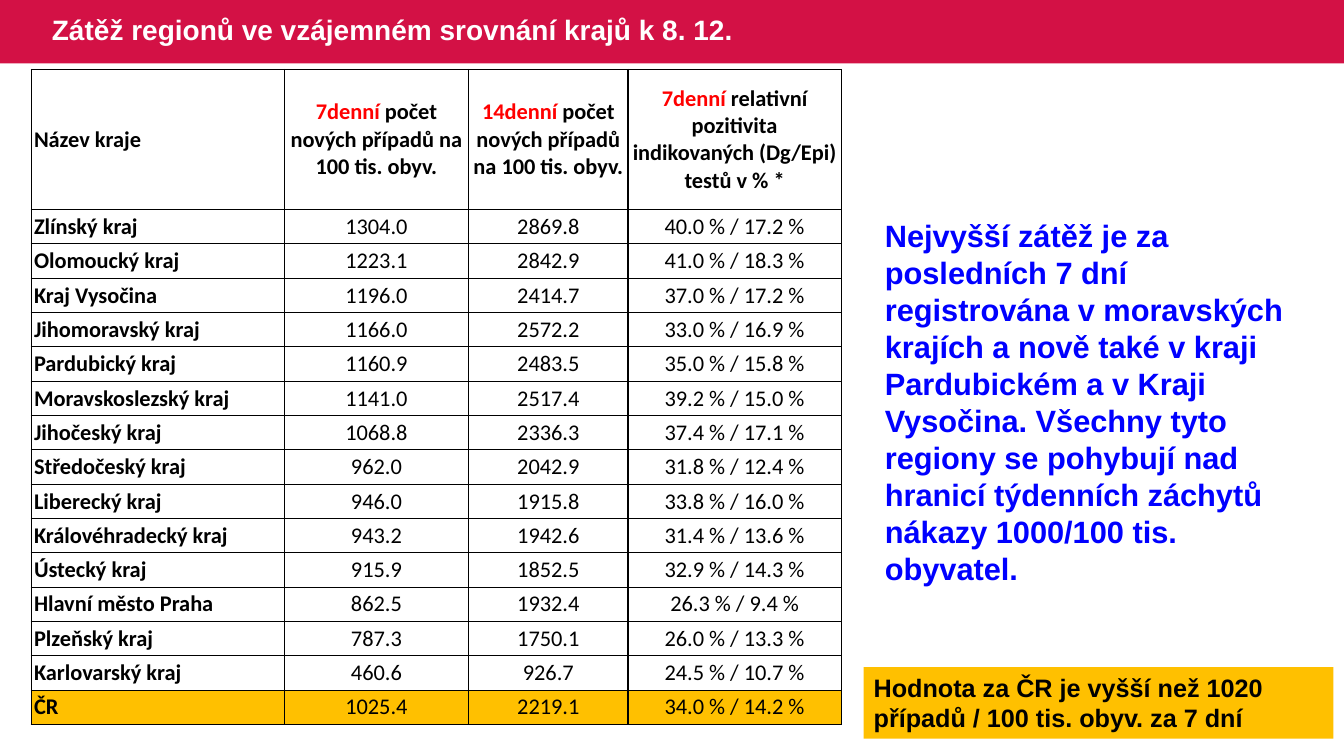
from dataclasses import dataclass

import lxml.etree
import pptx
import pptx.dml.color
import pptx.enum.shapes
import pptx.enum.text
import pptx.oxml.ns
import pptx.util

Pt = pptx.util.Pt
Anchor = pptx.enum.text.MSO_ANCHOR
Align = pptx.enum.text.PP_ALIGN

COLORS = {
    "crimson": "D31145",
    "white": "FFFFFF",
    "black": "000000",
    "red": "FF0000",
    "blue": "0000FF",
    "amber": "FFC000",
}


@dataclass(frozen=True)
class Run:
    text: str
    size: float
    color: str = "black"
    font: str = "Arial"
    bold: bool = True


@dataclass(frozen=True)
class Panel:
    left: float
    top: float
    width: float
    height: float
    run: Run | None = None
    fill: str | None = None
    anchor: Anchor = Anchor.TOP
    line_spacing: float = 1.0


@dataclass(frozen=True)
class Region:
    name: str
    week: str
    fortnight: str
    positivity: str
    fill: str = "white"


PANELS = [
    Panel(0, 0, 960, 45.4, fill="crimson"),
    Panel(30, 0, 585.5, 45.4,
          Run("Zátěž regionů ve vzájemném srovnání krajů k 8. 12.", 20, "white"),
          anchor=Anchor.MIDDLE, line_spacing=0.9),
    Panel(625, 122.4, 319.7, 300.2,
          Run("Nejvyšší zátěž je za posledních 7 dní registrována v moravských "
              "krajích a nově také v kraji Pardubickém a v Kraji Vysočina. "
              "Všechny tyto regiony se pohybují nad hranicí týdenních záchytů "
              "nákazy 1000/100 tis. obyvatel.", 22, "blue"),
          anchor=Anchor.BOTTOM),
    Panel(617, 476.6, 335.5, 51,
          Run("Hodnota za ČR je vyšší než 1020 případů / 100 tis. obyv. za 7 dní", 18),
          fill="amber"),
]

TABLE_LEFT, TABLE_TOP = 22.3, 49.7
COLUMN_WIDTHS = [180.7, 131.8, 113.8, 152.4]
HEADER_HEIGHT, ROW_HEIGHT = 100, 24.53
CELL_MARGIN = 2

# Each heading: red lead words, then the black rest
HEADINGS = [
    ("", "Název kraje"),
    ("7denní", " počet nových případů na 100 tis. obyv."),
    ("14denní", " počet nových případů na 100 tis. obyv."),
    ("7denní", " relativní pozitivita indikovaných (Dg/Epi) testů v % *"),
]

REGIONS = [
    Region("Zlínský kraj", "1304.0", "2869.8", "40.0 % / 17.2 %"),
    Region("Olomoucký kraj", "1223.1", "2842.9", "41.0 % / 18.3 %"),
    Region("Kraj Vysočina", "1196.0", "2414.7", "37.0 % / 17.2 %"),
    Region("Jihomoravský kraj", "1166.0", "2572.2", "33.0 % / 16.9 %"),
    Region("Pardubický kraj", "1160.9", "2483.5", "35.0 % / 15.8 %"),
    Region("Moravskoslezský kraj", "1141.0", "2517.4", "39.2 % / 15.0 %"),
    Region("Jihočeský kraj", "1068.8", "2336.3", "37.4 % / 17.1 %"),
    Region("Středočeský kraj", "962.0", "2042.9", "31.8 % / 12.4 %"),
    Region("Liberecký kraj", "946.0", "1915.8", "33.8 % / 16.0 %"),
    Region("Královéhradecký kraj", "943.2", "1942.6", "31.4 % / 13.6 %"),
    Region("Ústecký kraj", "915.9", "1852.5", "32.9 % / 14.3 %"),
    Region("Hlavní město Praha", "862.5", "1932.4", "26.3 % / 9.4 %"),
    Region("Plzeňský kraj", "787.3", "1750.1", "26.0 % / 13.3 %"),
    Region("Karlovarský kraj", "460.6", "926.7", "24.5 % / 10.7 %"),
    Region("ČR", "1025.4", "2219.1", "34.0 % / 14.2 %", fill="amber"),
]


def rgb(color: str) -> pptx.dml.color.RGBColor:
    return pptx.dml.color.RGBColor.from_string(COLORS[color])


def add_run(paragraph, run: Run) -> None:
    piece = paragraph.add_run()
    piece.text = run.text
    piece.font.name = run.font
    piece.font.size = Pt(run.size)
    piece.font.bold = run.bold
    piece.font.color.rgb = rgb(run.color)


def draw_panel(slide, panel: Panel) -> None:
    """Draw a filled rectangle, or a text box when there is no fill."""
    place = [Pt(v) for v in (panel.left, panel.top, panel.width, panel.height)]
    if panel.fill:
        box = slide.shapes.add_shape(pptx.enum.shapes.MSO_SHAPE.RECTANGLE, *place)
        box.shadow.inherit = False
        box.fill.solid()
        box.fill.fore_color.rgb = rgb(panel.fill)
        box.line.fill.background()
    else:
        box = slide.shapes.add_textbox(*place)
    if panel.run:
        frame = box.text_frame
        frame.word_wrap = True
        frame.vertical_anchor = panel.anchor
        paragraph = frame.paragraphs[0]
        paragraph.alignment = Align.LEFT
        paragraph.line_spacing = panel.line_spacing
        add_run(paragraph, run=panel.run)


def add_borders(cell) -> None:
    properties = cell._tc.get_or_add_tcPr()
    qn = pptx.oxml.ns.qn
    for index, side in enumerate(("lnL", "lnR", "lnT", "lnB")):
        line = lxml.etree.Element(qn(f"a:{side}"), w=str(Pt(1)))
        fill = lxml.etree.SubElement(line, qn("a:solidFill"))
        lxml.etree.SubElement(fill, qn("a:srgbClr"), val=COLORS["black"])
        properties.insert(index, line)


def fill_cell(cell, runs: list[Run], fill: str, alignment: Align) -> None:
    cell.margin_left = cell.margin_right = Pt(CELL_MARGIN)
    cell.margin_top = cell.margin_bottom = Pt(CELL_MARGIN)
    cell.vertical_anchor = Anchor.MIDDLE
    cell.fill.solid()
    cell.fill.fore_color.rgb = rgb(fill)
    add_borders(cell)
    paragraph = cell.text_frame.paragraphs[0]
    paragraph.alignment = alignment
    for run in runs:
        add_run(paragraph, run)


def draw_region_table(slide) -> None:
    height = HEADER_HEIGHT + ROW_HEIGHT * len(REGIONS)
    table = slide.shapes.add_table(
        len(REGIONS) + 1, len(COLUMN_WIDTHS), Pt(TABLE_LEFT), Pt(TABLE_TOP),
        Pt(sum(COLUMN_WIDTHS)), Pt(height)).table
    table.first_row = table.horz_banding = False
    for column, width in zip(table.columns, COLUMN_WIDTHS):
        column.width = Pt(width)
    for index, row in enumerate(table.rows):
        row.height = Pt(ROW_HEIGHT if index else HEADER_HEIGHT)

    rows = [("white", [[Run(text, 16, color, "Calibri")
                        for text, color in zip(heading, ("red", "black")) if text]
                       for heading in HEADINGS])]
    for region in REGIONS:
        values = (region.name, region.week, region.fortnight, region.positivity)
        rows.append((region.fill, [[Run(value, 16, font="Calibri", bold=column == 0)]
                                   for column, value in enumerate(values)]))
    for row_index, (fill, cells) in enumerate(rows):
        for column, runs in enumerate(cells):
            alignment = Align.CENTER if column else Align.LEFT
            fill_cell(table.cell(row_index, column), runs, fill, alignment)


def main() -> None:
    deck = pptx.Presentation()
    deck.slide_width, deck.slide_height = Pt(960), Pt(540)
    slide = deck.slides.add_slide(deck.slide_layouts[6])
    for panel in PANELS:
        draw_panel(slide, panel)
    draw_region_table(slide)
    deck.save("out.pptx")


if __name__ == "__main__":
    main()
